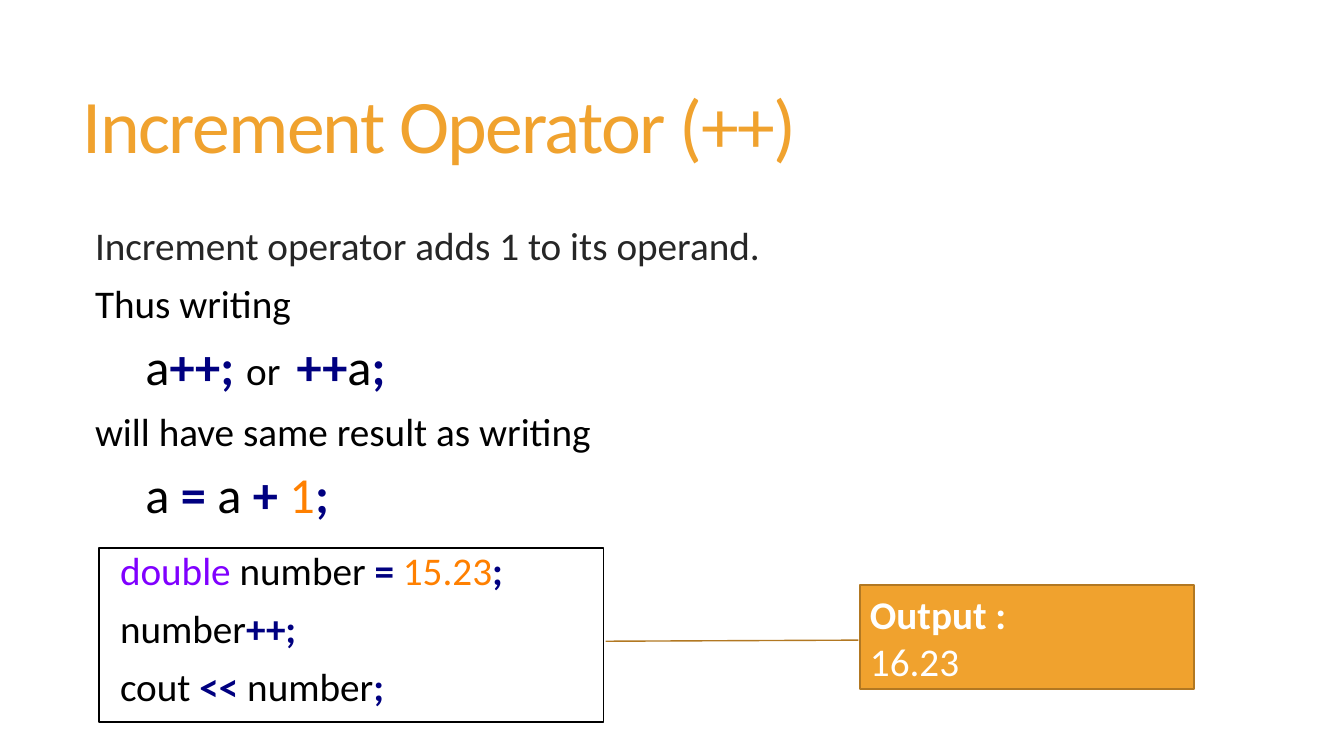
from lxml.etree import SubElement
from pptx import Presentation
from pptx.dml.color import RGBColor
from pptx.enum.shapes import MSO_SHAPE
from pptx.enum.text import MSO_ANCHOR, MSO_AUTO_SIZE, PP_ALIGN
from pptx.oxml.ns import qn
from pptx.util import Emu, Pt

PIXEL = 9144000 / 1008  # EMU in one pixel, at 100.8 pixels to the inch
FONT = "Calibri"
COLORS = {"accent": "F0A22E", "edge": "B27822", "text": "262626", "plain": "000000",
          "operator": "000080", "number": "FF8000", "type": "8000FF", "white": "FFFFFF"}

# Each line is a list of (text, colour name, size); operators are bold.
TITLE = [[("Increment Operator (++)", "accent", 54)]]
EXPLANATION = [
    [("Increment operator adds 1 to its operand.", "text", 28)],
    [("Thus writing", "plain", 28)],
    [("\ta", "plain", 36), ("++;", "operator", 36), ("\tor\t", "plain", 28),
     ("++", "operator", 36), ("a", "plain", 36), (";", "operator", 36)],
    [("will have same result as writing", "plain", 28)],
    [("\ta ", "plain", 36), ("= ", "operator", 36), ("a ", "plain", 36),
     ("+ ", "operator", 36), ("1", "number", 36), (";", "operator", 36)],
]
EXPLANATION_TABS = {2: (301, 537, 686), 4: (469,)}  # line index: stops in pixels
CODE = [
    [("double ", "type", 28), ("number ", "plain", 28), ("= ", "operator", 28),
     ("15.23", "number", 28), (";", "operator", 28)],
    [("number", "plain", 28), ("++;", "operator", 28)],
    [("cout ", "plain", 28), ("<<", "operator", 28), (" number", "plain", 28),
     (";", "operator", 28)],
]
OUTPUT = [[("Output :", "white", 28)], [("16.23", "white", 28)]]
POINTER = (0.53, -0.005, 0.541, -0.762)  # start y, x and end y, x as shares of the box

PLACES = {"title": (73, 39, 1187, 182), "explanation": (74, 223, 1186, 444),
          "code": (99, 548, 505, 174), "output": (860, 585, 334, 104)}


def px(value):
    """Turn pixels into EMU."""
    return Emu(round(value * PIXEL))


def color(name):
    """Look up a named colour."""
    return RGBColor.from_string(COLORS[name])


def move(box, place):
    """Put a box at its place."""
    box.left, box.top, box.width, box.height = map(px, PLACES[place])


def outline(box, name, width):
    """Give a box a solid outline."""
    box.line.color.rgb = color(name)
    box.line.width = Pt(width)


def write(box, lines, anchor=MSO_ANCHOR.TOP, inset=10, line_spacing=0.85,
          space_before=0, tabs=None, bold_lines=(), tracking=0):
    """Fill a box with lines of coloured spans."""
    frame = box.text_frame
    frame.word_wrap = True
    frame.auto_size = MSO_AUTO_SIZE.NONE
    frame.vertical_anchor = anchor
    frame.margin_left = px(inset)
    for index, line in enumerate(lines):
        para = frame.add_paragraph() if index else frame.paragraphs[0]
        para.alignment = PP_ALIGN.LEFT
        para.line_spacing = line_spacing
        para.space_before = Pt(space_before)
        properties = para._p.get_or_add_pPr()
        properties.set("marL", "0")
        properties.set("indent", "0")
        SubElement(properties, qn("a:buNone"))
        stops = (tabs or {}).get(index, ())
        if stops:
            tab_list = SubElement(properties, qn("a:tabLst"))
            for stop in stops:
                SubElement(tab_list, qn("a:tab"), pos=str(px(stop)), algn="l")
        for text, name, size in line:
            span = para.add_run()
            span.text = text
            span.font.name = FONT
            span.font.size = Pt(size)
            span.font.bold = name == "operator" or index in bold_lines
            span.font.color.rgb = color(name)
            if tracking:
                span._r.get_or_add_rPr().set("spc", str(round(tracking * 100)))


deck = Presentation()
deck.slide_width, deck.slide_height = px(1344), px(756)
page = deck.slides.add_slide(deck.slide_layouts[3])
title, explanation, code = page.placeholders

move(title, "title")
write(title, TITLE, anchor=MSO_ANCHOR.MIDDLE, tracking=-1.2)

move(explanation, "explanation")
write(explanation, EXPLANATION, inset=21, space_before=13, tabs=EXPLANATION_TABS)

output = page.shapes.add_shape(MSO_SHAPE.LINE_CALLOUT_1, *map(px, PLACES["output"]))
output.shadow.inherit = False
for index, share in enumerate(POINTER):
    output.adjustments[index] = share
output.fill.solid()
output.fill.fore_color.rgb = color("accent")
outline(output, "edge", 1)
write(output, OUTPUT, anchor=MSO_ANCHOR.MIDDLE, line_spacing=1.0, bold_lines=(0,))

move(code, "code")
outline(code, "plain", 0.75)
write(code, CODE, inset=21, space_before=13)

deck.save("out.pptx")
